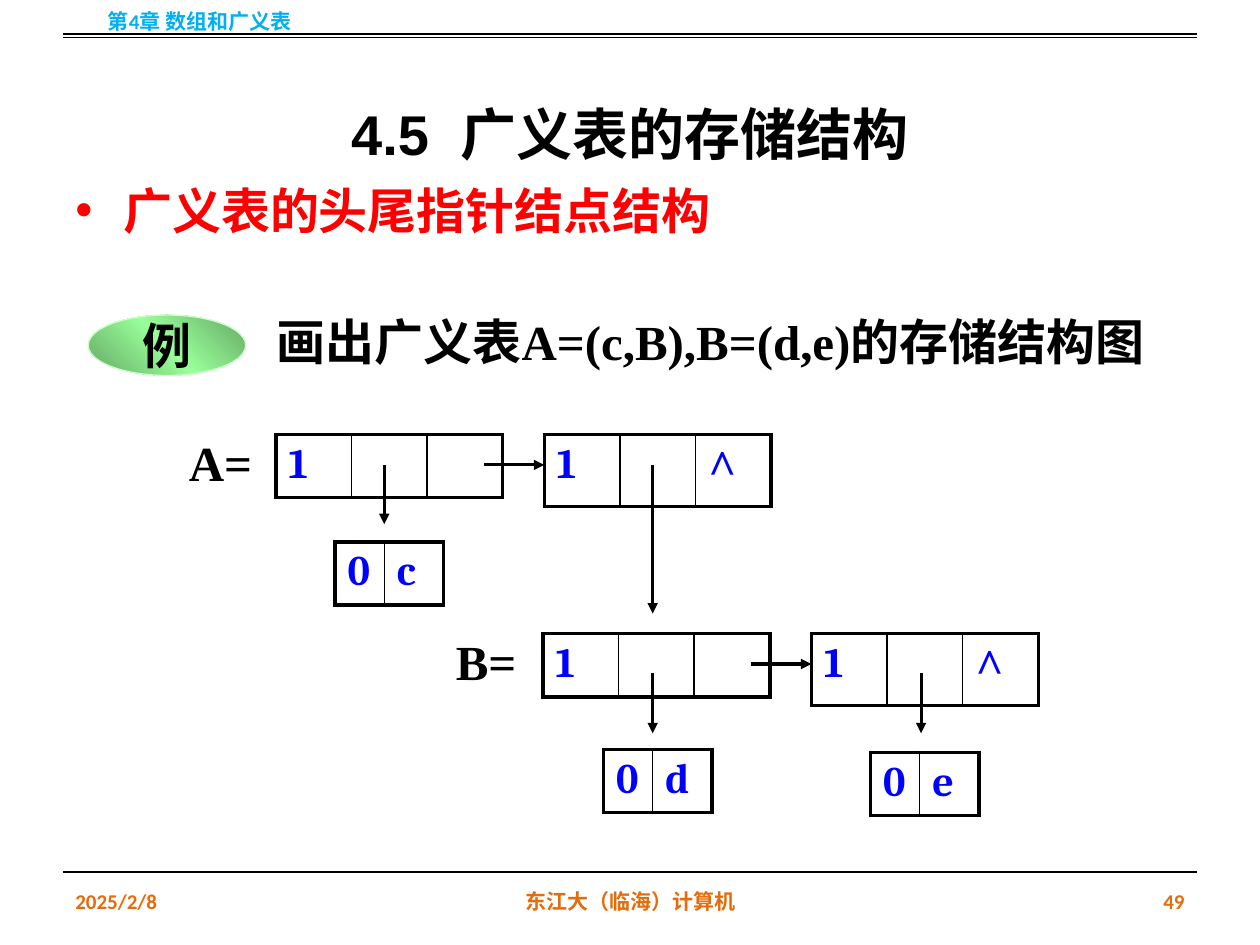
from copy import deepcopy

from lxml import etree
from pptx import Presentation
from pptx import util as u
from pptx.dml.color import RGBColor
from pptx.enum import shapes, text
from pptx.oxml.ns import qn

COLORS = {
    "black": "000000",
    "red": "FF0000",
    "blue": "0000FF",
    "sky": "00B0F0",
    "orange": "E46C0A",
    "green": "65A865",
    "light_green": "99FF99",
    "pale_green": "CCFFCC",
}
LEFT, CENTER, RIGHT = text.PP_ALIGN.LEFT, text.PP_ALIGN.CENTER, text.PP_ALIGN.RIGHT
TOP, MIDDLE = text.MSO_ANCHOR.TOP, text.MSO_ANCHOR.MIDDLE
SERIF = "Times New Roman"
LIST_COLS = [0.6, 0.6, 0.6]
ATOM_COLS = [0.39, 0.47]


def rgb(name):
    return RGBColor.from_string(COLORS[name])


def set_text(tf, words, size, font, color, align=LEFT):
    p = tf.paragraphs[0]
    p.text = words
    p.alignment = align
    for r in p.runs:
        r.font.size = u.Pt(size)
        r.font.name = font
        r.font.bold = True
        r.font.color.rgb = rgb(color)
    return p


def add_text(s, box, words, size, font, color, align=LEFT, anchor=TOP):
    tf = s.shapes.add_textbox(*map(u.Inches, box)).text_frame
    tf.word_wrap = True
    tf.vertical_anchor = anchor
    return set_text(tf, words, size, font, color, align)


def indent(p, margin, first=0):
    pPr = p._p.get_or_add_pPr()
    pPr.set("marL", str(u.Inches(margin)))
    pPr.set("indent", str(u.Inches(first)))
    return pPr


def add_line(s, start, end, width=0.75, arrow=False):
    line = s.shapes.add_connector(
        shapes.MSO_CONNECTOR.STRAIGHT, *map(u.Inches, (*start, *end)))
    line.line.color.rgb = rgb("black")
    line.line.width = u.Pt(width)
    if arrow:
        ln = line.line._get_or_add_ln()
        etree.SubElement(ln, qn("a:tailEnd"), type="triangle")
    etree.SubElement(line._element.spPr, qn("a:effectLst"))


def set_borders(cell, widths):
    tcPr = cell._tc.get_or_add_tcPr()
    for i, (side, width) in enumerate(zip("LRTB", widths)):
        ln = etree.Element(qn(f"a:ln{side}"), w=str(u.Pt(width)))
        fill = etree.SubElement(ln, qn("a:solidFill"))
        etree.SubElement(fill, qn("a:srgbClr"), val=COLORS["black"])
        tcPr.insert(i, ln)


def add_node(s, left, top, values, height=0.5):
    cols = LIST_COLS if len(values) == 3 else ATOM_COLS
    frame = s.shapes.add_table(
        1, len(cols), *map(u.Inches, (left, top, sum(cols), height)))
    table = frame.table
    table.first_row = table.horz_banding = False
    last = len(cols) - 1
    for i, (width, value) in enumerate(zip(cols, values)):
        table.columns[i].width = u.Inches(width)
        cell = table.cell(0, i)
        cell.fill.background()
        set_borders(cell, (1 if i else 2.25, 1 if i < last else 2.25, 2.25, 2.25))
        if value:
            size, font = (28, SERIF) if value == "^" else (24, "Cambria")
            set_text(cell.text_frame, value, size, font, "blue")


def add_list(s, left, top, label):
    add_text(s, (left - 0.79, top - 0.07, 0.87, 0.57), label, 28, SERIF, "black")
    add_node(s, left, top, ["1", "", ""])
    add_node(s, left + 2.13, top, ["1", "", "^"], 0.57)
    add_line(s, (left + 1.65, top + 0.24), (left + 2.13, top + 0.24), 1.75, True)


def add_badge(s):
    sp = s.shapes.add_shape(
        shapes.MSO_SHAPE.OVAL, *map(u.Inches, (0.7, 2.5, 1.25, 0.48)))
    sp.shadow.inherit = False
    sp.fill.gradient()
    gs_lst = sp._element.spPr.find(".//" + qn("a:gsLst"))
    gs_lst.insert(1, deepcopy(gs_lst[0]))
    for stop, place, color in zip(
            sp.fill.gradient_stops, (0, 0.5, 1), ("green", "light_green", "green")):
        stop.position = place
        stop.color.rgb = rgb(color)
    sp.fill.gradient_angle = 45
    sp.line.color.rgb = rgb("pale_green")
    sp.line.width = u.Pt(0.75)
    tf = sp.text_frame
    tf.word_wrap = False
    tf.vertical_anchor = MIDDLE
    set_text(tf, "例", 28, SERIF, "black", CENTER)


def add_frame(s):
    for y in (0.27, 0.3, 6.92):
        add_line(s, (0.5, y), (9.5, y))
    add_text(s, (0, -0.03, 3.17, 0.4), "第4章 数组和广义表", 12, "Calibri", "sky",
             CENTER, MIDDLE)
    for left, width, words, align in (
            (0.5, 2.33, "2025/2/8", LEFT),
            (3.42, 3.17, "东江大（临海）计算机", CENTER),
            (7.17, 2.33, "49", RIGHT)):
        add_text(s, (left, 6.95, width, 0.4), words, 12, "Calibri", "orange",
                 align, MIDDLE)


def add_headings(s):
    p = add_text(s, (0.5, 0.3, 9, 1.25), "4.5  广义表的存储结构", 32, "Arial",
                 "black", CENTER, MIDDLE)
    p.line_spacing = 1.5
    p = add_text(s, (0.5, 1.42, 9, 5.58), "广义表的头尾指针结点结构", 28, "Calibri", "red")
    p.line_spacing = u.Pt(31)
    pPr = indent(p, 0.38, -0.38)
    etree.SubElement(pPr, qn("a:buFont"), typeface="Arial")
    etree.SubElement(pPr, qn("a:buChar"), char="•")
    add_badge(s)
    p = add_text(s, (1.4, 2.42, 8.03, 0.57), "画出广义表A=(c,B),B=(d,e)的存储结构图",
                 28, SERIF, "black")
    indent(p, 0.7)


def main():
    prs = Presentation()
    prs.slide_width, prs.slide_height = u.Inches(10), u.Inches(7.5)
    s = prs.slides.add_slide(prs.slide_layouts[6])
    add_headings(s)
    add_frame(s)
    add_list(s, 2.19, 3.45, "A=")
    add_list(s, 4.31, 5.03, "B=")
    for left, top, atom in ((2.66, 4.3, "c"), (4.79, 5.95, "d"), (6.91, 5.97, "e")):
        add_node(s, left, top, ["0", atom])
    for x, start, end in (
            (3.05, 3.69, 4.16), (5.18, 3.69, 4.87),
            (5.18, 5.34, 5.82), (7.31, 5.34, 5.82)):
        add_line(s, (x, start), (x, end), 1.75, True)
    prs.save("out.pptx")


if __name__ == "__main__":
    main()
